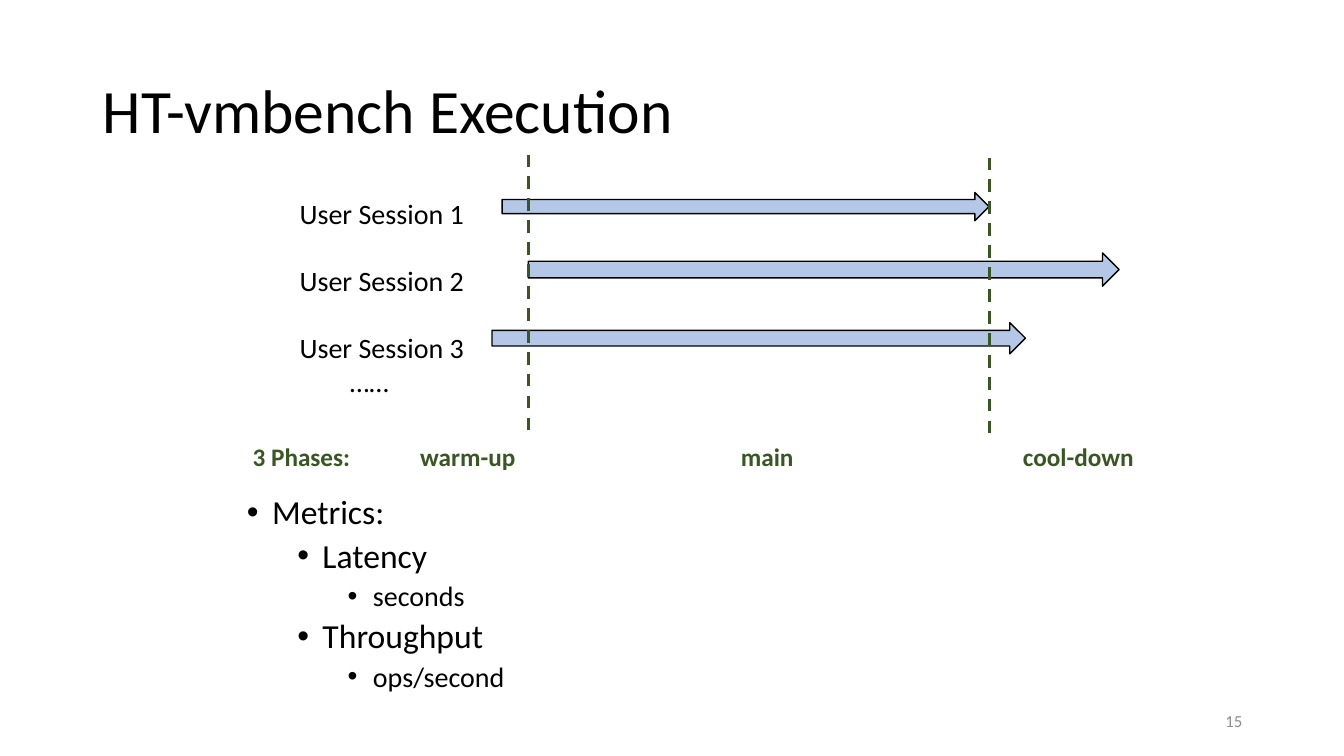
from lxml import etree
from pptx import Presentation
from pptx.dml.color import RGBColor
from pptx.enum.dml import MSO_LINE
from pptx.enum.shapes import MSO_CONNECTOR, MSO_SHAPE
from pptx.enum.text import MSO_ANCHOR, PP_ALIGN
from pptx.oxml.ns import qn
from pptx.util import Emu, Pt

PX = 9144  # 100 px to the inch
FONT = "Calibri"
BLACK, WHITE, GREEN, BLUE, GREY = "000000", "FFFFFF", "385723", "B4C7E7", "8C8C8C"
LEFT, CENTER, RIGHT = PP_ALIGN.LEFT, PP_ALIGN.CENTER, PP_ALIGN.RIGHT
TOP, MIDDLE = MSO_ANCHOR.TOP, MSO_ANCHOR.MIDDLE
PANEL, ARROW = MSO_SHAPE.ROUNDED_RECTANGLE, MSO_SHAPE.RIGHT_ARROW
STRAIGHT, DASH = MSO_CONNECTOR.STRAIGHT, MSO_LINE.DASH


def px(*values):
    return [Emu(v * PX) for v in values]


def rgb(color):
    return RGBColor.from_string(color)


class Deck:
    def __init__(self, width, height):
        self.prs = Presentation()
        self.prs.slide_width, self.prs.slide_height = px(width, height)
        self.s = self.prs.slides.add_slide(self.prs.slide_layouts[6])

    def para(self, tf, text, size, color=BLACK, bold=False, align=LEFT,
             spacing=1.0, before=0, indent=0, hanging=0):
        first = tf.paragraphs[0]
        p = tf.add_paragraph() if first.runs else first
        p.alignment, p.line_spacing, p.space_before = align, spacing, Pt(before)
        if indent:
            pPr = p._p.get_or_add_pPr()
            pPr.set("marL", str(indent * PX))
            if hanging:
                pPr.set("indent", str(-hanging * PX))
                etree.SubElement(pPr, qn("a:buFont")).set("typeface", "Arial")
                etree.SubElement(pPr, qn("a:buChar")).set("char", "•")
        r = p.add_run()
        r.text = text
        r.font.name, r.font.size, r.font.bold = FONT, Pt(size), bold
        r.font.color.rgb = rgb(color)

    def text_box(self, x, y, w, h, anchor=TOP):
        tf = self.s.shapes.add_textbox(*px(x, y, w, h)).text_frame
        tf.word_wrap, tf.vertical_anchor = True, anchor
        return tf

    def shape(self, kind, x, y, w, h, fill, line):
        sp = self.s.shapes.add_shape(kind, *px(x, y, w, h))
        sp.shadow.inherit = False
        sp.fill.solid()
        sp.fill.fore_color.rgb = rgb(fill)
        sp.line.color.rgb = rgb(line)
        sp.line.width = Pt(1)
        return sp

    def dashed_line(self, x, top, bottom):
        line = self.s.shapes.add_connector(STRAIGHT, *px(x, bottom, x, top))
        line.line.color.rgb = rgb(GREEN)
        line.line.width = Pt(2.25)
        line.line.dash_style = DASH
        etree.SubElement(line._element.spPr, qn("a:effectLst"))

    def table_row(self, x, y, h, columns):
        widths = [w for _, w in columns]
        frame = self.s.shapes.add_table(1, len(columns), *px(x, y, sum(widths), h))
        table = frame.table
        table.first_row = table.horz_banding = False
        table.rows[0].height = px(h)[0]
        for i, (text, width) in enumerate(columns):
            table.columns[i].width = px(width)[0]
            cell = table.cell(0, i)
            cell.fill.background()
            self.para(cell.text_frame, text, 18, GREEN, True, CENTER)


def main():
    deck = Deck(1333, 750)

    # Title
    title = deck.text_box(92, 40, 1150, 145, MIDDLE)
    deck.para(title, "HT-vmbench Execution", 44, spacing=0.9)

    # Metrics
    metrics = deck.text_box(235, 487, 862, 220)
    for level, text in [(0, "Metrics:"), (1, "Latency"), (2, "seconds"),
                        (1, "Throughput"), (2, "ops/second")]:
        deck.para(metrics, text, 20 if level == 2 else 24, spacing=0.9,
                  before=5 if level else 10, indent=25 + 50 * level, hanging=25)

    # Page number
    number = deck.text_box(942, 695, 300, 40, MIDDLE)
    deck.para(number, "15", 12, GREY, align=RIGHT)

    # Session names
    panel = deck.shape(PANEL, 274, 143, 384, 284, WHITE, WHITE)
    panel.adjustments[0] = 0.16
    tf = panel.text_frame
    tf.word_wrap, tf.vertical_anchor = True, TOP
    for n in range(1, 4):
        deck.para(tf, f"User Session {n}", 20, spacing=2.0)
    deck.para(tf, "……", 20, indent=50)

    # Session arrows
    for x, y, w, h in [(498, 191, 483, 28), (524, 251, 586, 33), (488, 320, 529, 31)]:
        deck.shape(ARROW, x, y, w, h, BLUE, BLACK)

    # Phase borders and names
    deck.dashed_line(524, 154, 427)
    deck.dashed_line(981, 157, 430)
    deck.table_row(207, 434, 41, [("3 Phases:", 184), ("warm-up", 146),
                                  ("main", 448), ("cool-down", 169)])

    deck.prs.save("out.pptx")


if __name__ == "__main__":
    main()
